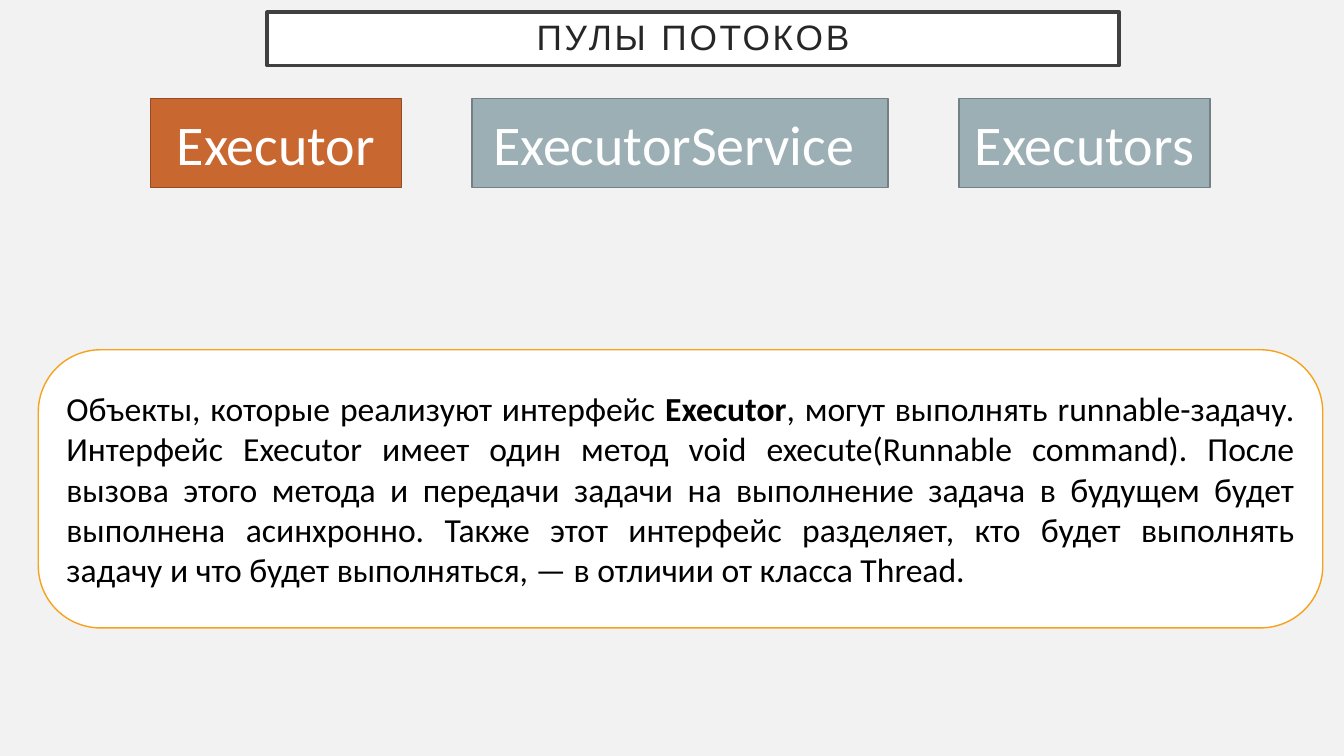
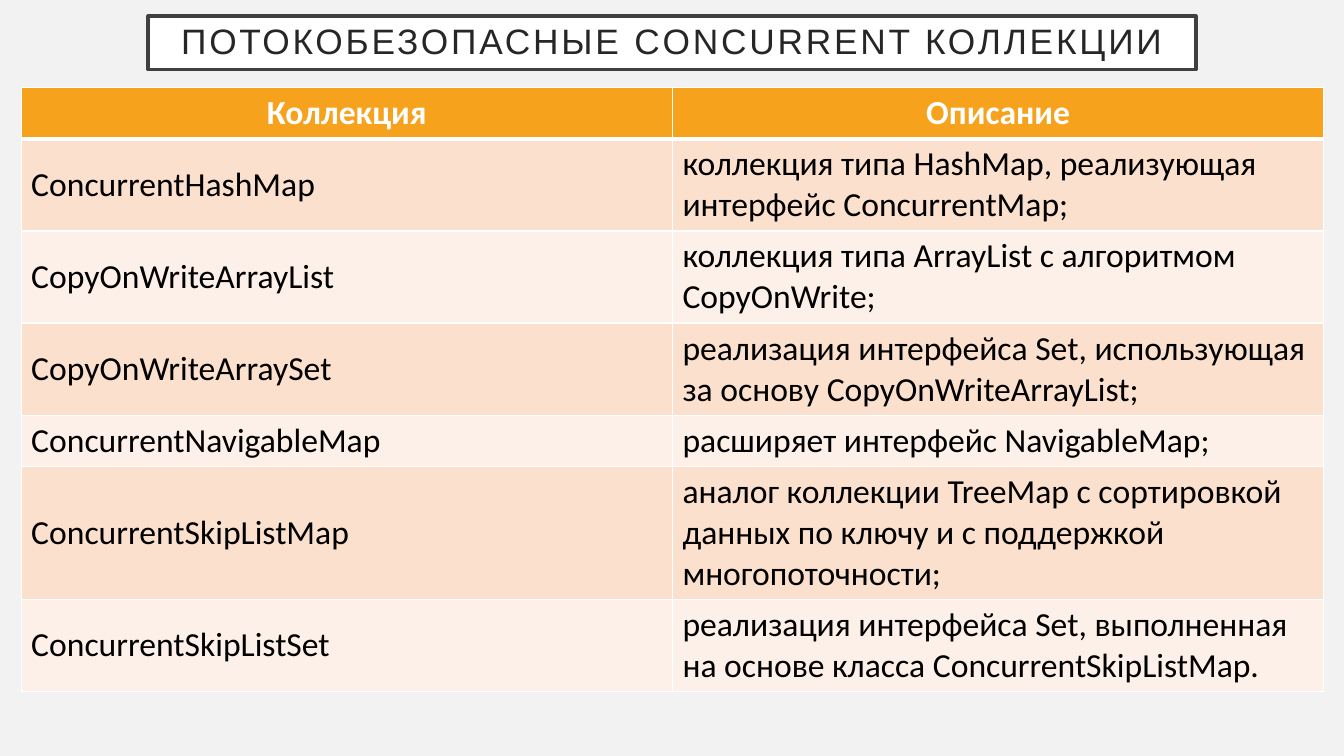
from collections import namedtuple
from dataclasses import dataclass

import lxml.etree
import pptx
import pptx.dml.color
import pptx.enum.shapes
import pptx.enum.text
import pptx.oxml.ns
import pptx.util

Inches = pptx.util.Inches
Pt = pptx.util.Pt
PRESET = pptx.enum.shapes.MSO_SHAPE
ALIGN = pptx.enum.text.PP_ALIGN
ANCHOR = pptx.enum.text.MSO_ANCHOR

Box = namedtuple("Box", "left top width height")


@dataclass(frozen=True)
class Theme:
    background: str = "F2F2F2"
    white: str = "FFFFFF"
    text: str = "000000"
    title_text: str = "262626"
    title_line: str = "404040"
    active: str = "C96731"
    active_line: str = "954C24"
    muted: str = "9BAFB5"
    muted_line: str = "738186"
    accent: str = "F6A21D"
    bands: tuple = ("FBE0CD", "FDF0E8")
    title_font: str = "Arial"
    body_font: str = "Calibri"
    title_size: float = 25.2
    chip_size: float = 40
    body_size: float = 24


THEME = Theme()


def rgb(value):
    return pptx.dml.color.RGBColor.from_string(value)


def style_font(font, size, color, name=THEME.body_font, bold=False):
    font.name = name
    font.size = Pt(size)
    font.bold = bold
    font.color.rgb = rgb(color)


def add_panel(slide, box, fill, line, line_width=1, preset=PRESET.RECTANGLE):
    panel = slide.shapes.add_shape(preset, *map(Inches, box))
    panel.shadow.inherit = False
    panel.fill.solid()
    panel.fill.fore_color.rgb = rgb(fill)
    panel.line.color.rgb = rgb(line)
    panel.line.width = Pt(line_width)
    panel.text_frame.word_wrap = True
    panel.text_frame.vertical_anchor = ANCHOR.MIDDLE
    return panel


def add_slide(prs):
    slide = prs.slides.add_slide(prs.slide_layouts[6])
    slide.background.fill.solid()
    slide.background.fill.fore_color.rgb = rgb(THEME.background)
    return slide


def add_title(slide, box, text):
    frame = add_panel(slide, box, THEME.white, THEME.title_line, 2.5).text_frame
    frame.margin_left = frame.margin_right = Inches(0.2)
    frame.margin_top = frame.margin_bottom = Inches(0.2)
    heading = frame.paragraphs[0]
    heading.text = text
    heading.alignment = ALIGN.CENTER
    heading.line_spacing = 0.9
    run = heading.runs[0]
    style_font(run.font, THEME.title_size, THEME.title_text, THEME.title_font)
    run.font._element.set("spc", "200")  # letter spacing of 2 pt


def add_chips(slide, box, chips, active):
    """Row of labels with equal gaps; the active one is highlighted."""
    gap = (box.width - sum(width for _, width in chips)) / (len(chips) - 1)
    left = box.left
    for index, (label, width) in enumerate(chips):
        colors = ((THEME.active, THEME.active_line) if index == active
                  else (THEME.muted, THEME.muted_line))
        chip = add_panel(slide, Box(left, box.top, width, box.height), *colors)
        caption = chip.text_frame.paragraphs[0]
        caption.text = label
        caption.alignment = ALIGN.CENTER
        style_font(caption.runs[0].font, THEME.chip_size, THEME.white)
        left += width + gap


def add_definition(slide, box, parts):
    """Rounded card; parts are (text, bold) pairs of one paragraph."""
    card = add_panel(slide, box, THEME.white, THEME.accent,
                     preset=PRESET.ROUNDED_RECTANGLE)
    card.adjustments[0] = 0.224
    definition = card.text_frame.paragraphs[0]
    definition.alignment = ALIGN.JUSTIFY
    for text, bold in parts:
        run = definition.add_run()
        run.text = text
        style_font(run.font, THEME.body_size, THEME.text, bold=bold)


def set_borders(cell, top=1, bottom=1):
    properties = cell._tc.get_or_add_tcPr()
    edges = (("lnL", 1), ("lnR", 1), ("lnT", top), ("lnB", bottom))
    for position, (edge, width) in enumerate(edges):
        line = lxml.etree.Element(pptx.oxml.ns.qn(f"a:{edge}"), w=str(Pt(width)))
        fill = lxml.etree.SubElement(line, pptx.oxml.ns.qn("a:solidFill"))
        lxml.etree.SubElement(fill, pptx.oxml.ns.qn("a:srgbClr"), val=THEME.white)
        properties.insert(position, line)


def add_collection_table(slide, box, header, rows):
    """Two equal columns; rows are (name, description, text lines)."""
    table = slide.shapes.add_table(
        len(rows) + 1, len(header), *map(Inches, box)).table
    table.first_row = table.horz_banding = False
    for column in table.columns:
        column.width = Inches(box.width / len(header))
    for index, (*texts, lines) in enumerate([(*header, 1), *rows]):
        is_header = index == 0
        table.rows[index].height = Inches(0.1 + 0.4 * lines)
        for cell, text in zip(table.rows[index].cells, texts):
            cell.fill.solid()
            cell.fill.fore_color.rgb = rgb(
                THEME.accent if is_header else THEME.bands[(index - 1) % 2])
            cell.vertical_anchor = ANCHOR.TOP if is_header else ANCHOR.MIDDLE
            set_borders(cell, top=3 if index == 1 else 1,
                        bottom=3 if is_header else 1)
            entry = cell.text_frame.paragraphs[0]
            entry.text = text
            entry.alignment = ALIGN.CENTER if is_header else ALIGN.LEFT
            style_font(entry.runs[0].font, THEME.body_size,
                       THEME.white if is_header else THEME.text, bold=is_header)


def build_pools_slide(prs):
    slide = add_slide(prs)
    add_title(slide, Box(2.65, 0.12, 8.45, 0.53), "ПУЛЫ ПОТОКОВ")
    chips = [("Executor", 2.49), ("ExecutorService ", 4.13), ("Executors", 2.49)]
    add_chips(slide, Box(1.49, 0.98, 10.51, 0.88), chips, active=0)
    add_definition(slide, Box(0.38, 3.47, 12.74, 2.76), [
        ("Объекты, которые реализуют интерфейс ", False),
        ("Executor", True),
        (", могут выполнять runnable-задачу. Интерфейс Executor имеет один "
         "метод void execute(Runnable command). После вызова этого метода и "
         "передачи задачи на выполнение задача в будущем будет выполнена "
         "асинхронно. Также этот интерфейс разделяет, кто будет выполнять "
         "задачу и что будет выполняться, — в отличии от класса Thread.", False),
    ])


def build_collections_slide(prs):
    slide = add_slide(prs)
    add_title(slide, Box(1.47, 0.16, 10.39, 0.53),
              "ПОТОКОБЕЗОПАСНЫЕ CONCURRENT КОЛЛЕКЦИИ")
    add_collection_table(slide, Box(0.21, 0.87, 12.92, 5.9),
                         ("Коллекция", "Описание"), [
        ("ConcurrentHashMap",
         "коллекция типа HashMap, реализующая интерфейс ConcurrentMap;", 2),
        ("CopyOnWriteArrayList",
         "коллекция типа ArrayList с алгоритмом CopyOnWrite;", 2),
        ("CopyOnWriteArraySet",
         "реализация интерфейса Set, использующая за основу "
         "CopyOnWriteArrayList;", 2),
        ("ConcurrentNavigableMap", "расширяет интерфейс NavigableMap;", 1),
        ("ConcurrentSkipListMap",
         "аналог коллекции TreeMap с сортировкой данных по ключу и с "
         "поддержкой многопоточности;", 3),
        ("ConcurrentSkipListSet",
         "реализация интерфейса Set, выполненная на основе класса "
         "ConcurrentSkipListMap.", 2),
    ])


def main():
    prs = pptx.Presentation()
    prs.slide_width = Inches(13.33)
    prs.slide_height = Inches(7.5)
    build_pools_slide(prs)
    build_collections_slide(prs)
    prs.save("out.pptx")


if __name__ == "__main__":
    main()
